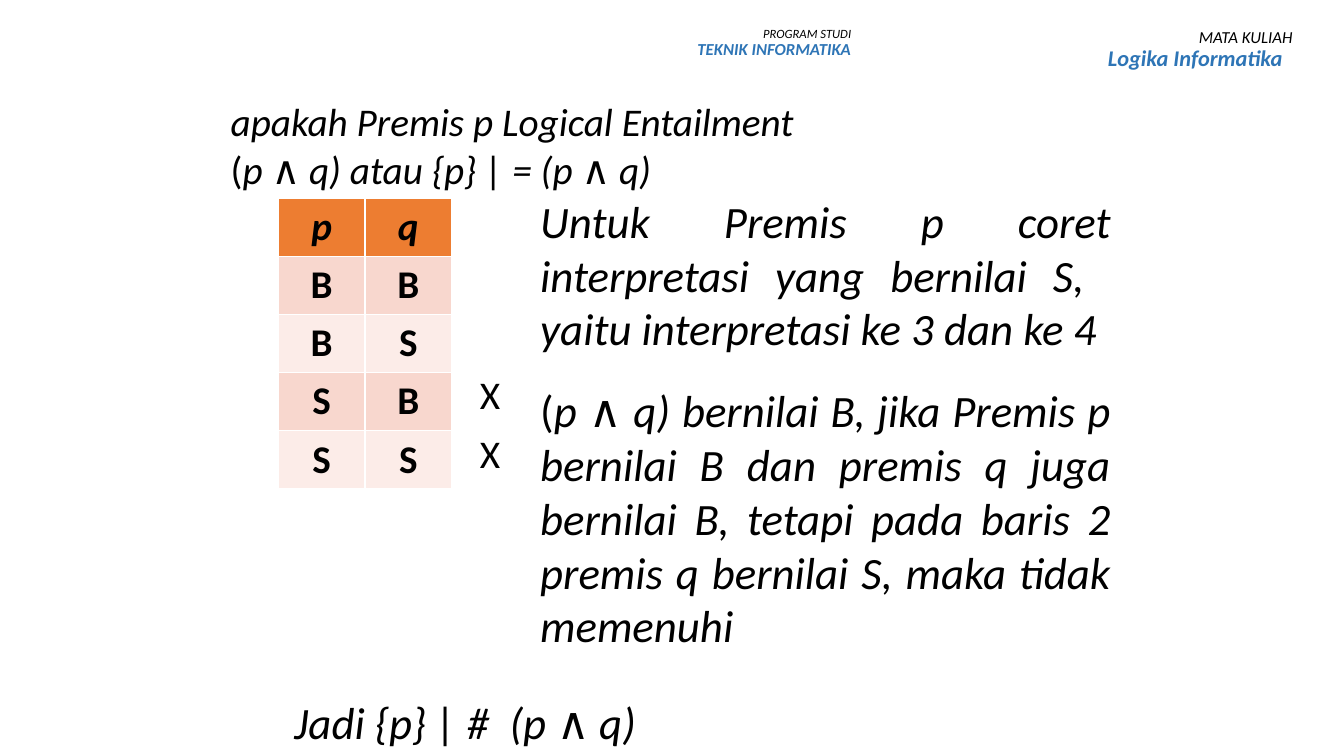
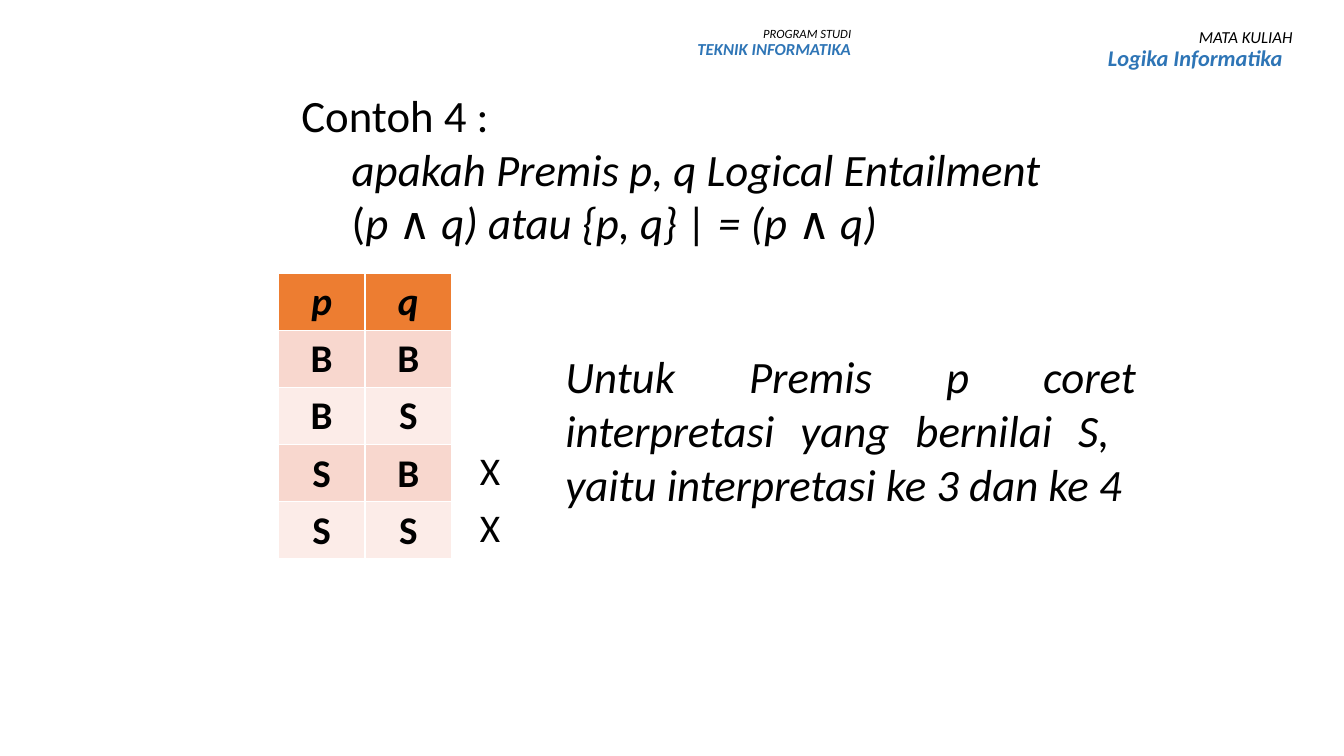
from pptx import Presentation
from pptx.dml.color import RGBColor
from pptx.enum.text import PP_ALIGN as Align
from pptx.util import Inches, Pt

COLORS = {"text": "000000", "accent": "2E75B6", "head": "ED7D31",
          "band_dark": "F8D7CE", "band_light": "FCECE8"}
FONT = "Calibri"

# Text formats
PLAIN = {"size": 32, "bold": False, "italic": False, "color": "text"}
ITALIC = PLAIN | {"italic": True}
ITALIC_28 = ITALIC | {"size": 28}
PLAIN_28 = PLAIN | {"size": 28}
CELL = PLAIN_28 | {"bold": True}
CELL_HEAD = CELL | {"italic": True}

# Shared content: a text block is (left, top, width, height), paragraphs of spans
HEADERS = [
    ((6.03, 0.22, 2.51, 0.56), [
        [("PROGRAM STUDI", ITALIC | {"size": 9})],
        [("TEKNIK INFORMATIKA", ITALIC | {"size": 12, "bold": True, "color": "accent"})]]),
    ((9.16, 0.24, 3.76, 0.74), [
        [("MATA KULIAH", ITALIC | {"size": 12})],
        [("Logika Informatika  ", ITALIC | {"size": 16, "bold": True, "color": "accent"})]]),
]
TRUTH = ["pq", "BB", "BS", "SB", "SS"]
MARKS = ["", "", "", "X", "X"]
STRIKE_OUT = [[("Untuk Premis p coret interpretasi yang bernilai S,  "
                "yaitu interpretasi ke 3 dan ke 4 ", ITALIC)]]

# Table grid
TABLE_LEFT, MARKS_LEFT = 2.76, 4.56
TRUTH_COLUMN, MARKS_COLUMN, ROW = 0.86, 0.6, 2.83 / 5

SLIDES = [
    {"table_top": 1.97, "marks_top": 1.95, "texts": [
        ((1.69, 0.86, 10.56, 1.11), [
            [("\t", ITALIC), ("apakah Premis p Logical Entailment ", ITALIC_28)],
            [("\t", ITALIC_28), ("(", PLAIN_28),
             ("p ∧ q) atau {p} | = (p ∧ q)", ITALIC_28)]]),
        ((5.26, 1.87, 5.86, 1.72), STRIKE_OUT),
        ((5.26, 3.75, 5.86, 2.79), [
            [("(", PLAIN),
             ("p ∧ q) bernilai B, jika Premis p bernilai B dan premis q juga "
              "bernilai B, tetapi pada baris 2 premis q bernilai S, "
              "maka tidak memenuhi ", ITALIC)]]),
        ((2.82, 6.84, 8.3, 0.64), [[("Jadi {p} | #  (p ∧ q)", ITALIC)]]),
    ]},
    {"table_top": 2.71, "marks_top": 2.7, "texts": [
        ((2.89, 0.82, 8.3, 1.72), [
            [("Contoh 4 :", PLAIN)],
            [("\tapakah Premis p, q Logical Entailment ", ITALIC)],
            [("\t", ITALIC), ("(", PLAIN),
             ("p ∧ q) atau {p, q} | = (p ∧ q)", ITALIC)]]),
        ((5.51, 3.41, 5.86, 1.72), STRIKE_OUT),
    ]},
]


def add_span(para, text, style):
    span = para.add_run()
    span.text = text
    values = {"name": FONT, "size": Pt(style["size"]),
              "bold": style["bold"], "italic": style["italic"]}
    for name, value in values.items():
        setattr(span.font, name, value)
    span.font.color.rgb = RGBColor.from_string(COLORS[style["color"]])


def add_text(page, area, paragraphs, align=Align.JUSTIFY, spacing=None):
    frame = page.shapes.add_textbox(*map(Inches, area)).text_frame
    frame.word_wrap = True
    for index, spans in enumerate(paragraphs):
        para = frame.add_paragraph() if index else frame.paragraphs[0]
        para.alignment, para.line_spacing = align, spacing
        for text, style in spans:
            add_span(para, text, style)


def add_grid(page, left, top, column, rows, has_head):
    """Draw rows of one-letter cells; without a head the cells stay unfilled."""
    columns = max(map(len, rows))
    table = page.shapes.add_table(
        len(rows), columns, Inches(left), Inches(top),
        Inches(column * columns), Inches(ROW * len(rows))).table
    table.first_row = table.horz_banding = has_head
    for table_column in table.columns:
        table_column.width = Inches(column)
    for r, letters in enumerate(rows):
        table.rows[r].height = Inches(ROW)
        for c in range(columns):
            cell = table.cell(r, c)
            if has_head:
                band = "head" if r == 0 else "band_dark" if r % 2 else "band_light"
                cell.fill.solid()
                cell.fill.fore_color.rgb = RGBColor.from_string(COLORS[band])
                style = CELL if r else CELL_HEAD
            else:
                cell.fill.background()
                style = PLAIN_28
            para = cell.text_frame.paragraphs[0]
            para.alignment = Align.CENTER
            if letters:
                add_span(para, letters[c], style)


def main():
    deck = Presentation()
    deck.slide_width, deck.slide_height = Inches(13.33), Inches(7.5)
    for content in SLIDES:
        page = deck.slides.add_slide(deck.slide_layouts[6])
        # Truth table and struck-out rows
        add_grid(page, TABLE_LEFT, content["table_top"], TRUTH_COLUMN, TRUTH, True)
        add_grid(page, MARKS_LEFT, content["marks_top"], MARKS_COLUMN, MARKS, False)
        # Explanations, then the running header
        for area, paragraphs in content["texts"]:
            add_text(page, area, paragraphs)
        for area, paragraphs in HEADERS:
            add_text(page, area, paragraphs, Align.RIGHT, 0.9)
    deck.save("out.pptx")


if __name__ == "__main__":
    main()
